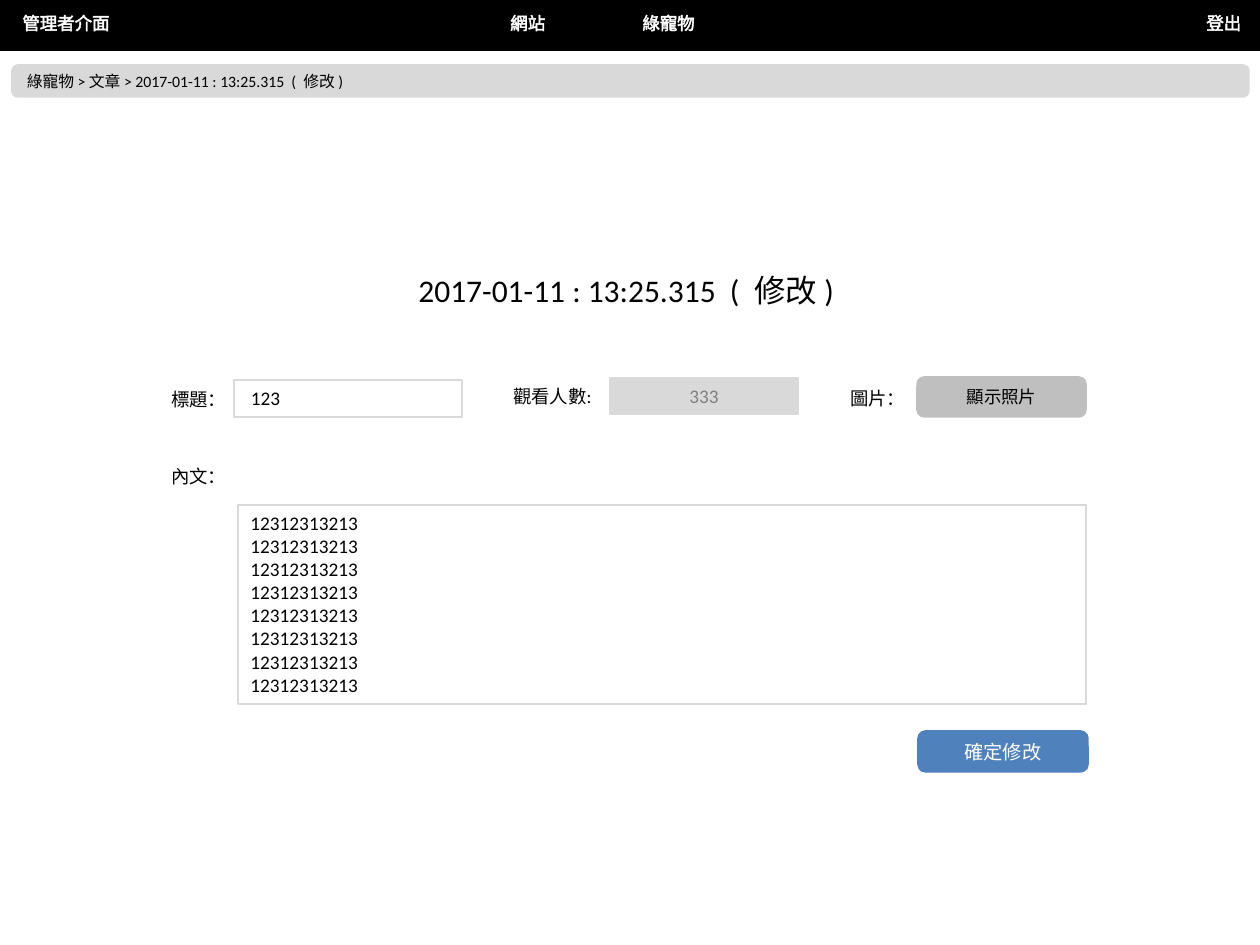
import pptx
import pptx.util
import pptx.dml.color
import pptx.enum.shapes
import pptx.enum.text
import pptx.oxml

SCALE = 914400 / 126
COLORS = {
    "black": "000000",
    "white": "FFFFFF",
    "panel": "D9D9D9",
    "button": "BFBFBF",
    "muted": "808080",
    "primary": "4F81BD",
}
RECT = pptx.enum.shapes.MSO_SHAPE.RECTANGLE
ROUND = pptx.enum.shapes.MSO_SHAPE.ROUNDED_RECTANGLE
LEFT = pptx.enum.text.PP_ALIGN.LEFT
CENTER = pptx.enum.text.PP_ALIGN.CENTER
TOP = pptx.enum.text.MSO_ANCHOR.TOP
MIDDLE = pptx.enum.text.MSO_ANCHOR.MIDDLE


def px(n):
    return pptx.util.Emu(round(n * SCALE))


def rgb(name):
    return pptx.dml.color.RGBColor.from_string(COLORS[name])


def write(sp, lines, size, color="black", align=LEFT, anchor=TOP, wrap=True):
    tf = sp.text_frame
    tf.word_wrap = wrap
    tf.vertical_anchor = anchor
    tf.text = "\n".join(lines)
    for p in tf.paragraphs:
        p.alignment = align
        p.font.name = "Calibri"
        p.font.size = pptx.util.Pt(size)
        p.font.color.rgb = rgb(color)
    return tf


def add_label(s, x, y, w, h, text, size, **style):
    sp = s.shapes.add_textbox(px(x), px(y), px(w), px(h))
    return write(sp, [text], size, **style)


def add_box(s, kind, x, y, w, h, fill, line, line_width):
    sp = s.shapes.add_shape(kind, px(x), px(y), px(w), px(h))
    sp.shadow.inherit = False
    sp.fill.solid()
    sp.fill.fore_color.rgb = rgb(fill)
    sp.line.color.rgb = rgb(line)
    sp.line.width = pptx.util.Pt(line_width)
    return sp


def add_button(s, x, y, w, h, text, size, fill, color="black", align=CENTER):
    sp = add_box(s, ROUND, x, y, w, h, fill, fill, 2)
    write(sp, [text], size, color, align, MIDDLE)


def add_field(s, x, y, w, h, lines, fill="white", **style):
    sp = add_box(s, RECT, x, y, w, h, fill, "panel", 0.75)
    return write(sp, lines, 11, **style)


def outline_text(p):
    for r in p.runs:
        ln = pptx.oxml.parse_xml(
            '<a:ln xmlns:a="http://schemas.openxmlformats.org/drawingml/2006/main" w="9525">'
            f'<a:solidFill><a:srgbClr val="{COLORS["white"]}"/></a:solidFill></a:ln>'
        )
        r._r.get_or_add_rPr().insert(0, ln)


def add_nav_bar(s, x, y, w, h):
    add_box(s, RECT, x, y, w, h, "black", "black", 2)
    items = [("管理者介面", 10, 113), ("網站", 498, 60), ("綠寵物", 630, 78), ("登出", 1194, 60)]
    for text, left, width in items:
        tf = add_label(s, x + left, y + 6, width, 34, text, 10, color="white", wrap=False)
        outline_text(tf.paragraphs[0])


def add_breadcrumb(s, x, y, w, h):
    text = "綠寵物 > 文章 > 2017-01-11 : 13:25.315  (  修改 )"
    add_button(s, x, y, w, h, text, 9, "panel", align=LEFT)


def add_edit_form(s, x, y, w, h):
    add_label(s, x + 247, y, 446, 50, "2017-01-11 : 13:25.315  (  修改 )", 18)

    add_label(s, x, y + 117, 79, 35, "標題：", 10.5)
    tf = add_field(s, x + 75, y + 115, 228, 37, ["123"])
    tf.margin_left = px(17)

    add_label(s, x + 336, y + 114, 115, 35, "觀看人數:", 10.5, align=CENTER)
    add_field(s, x + 451, y + 113, 188, 36, ["333"], "panel", color="muted", align=CENTER)

    add_label(s, x + 679, y + 116, 79, 35, "圖片：", 10.5)
    add_button(s, x + w - 169, y + 113, 167, 38, "顯示照片", 10, "button")

    add_label(s, x, y + 194, 79, 35, "內文：", 10.5)
    add_field(s, x + 79, y + 240, w - 80, 199, ["12312313213"] * 8)
    add_button(s, x + w - 168, y + h - 39, 168, 39, "確定修改", 11, "primary", "white")


def main():
    prs = pptx.Presentation()
    prs.slide_width = px(1260)
    prs.slide_height = px(945)
    s = prs.slides.add_slide(prs.slide_layouts[6])
    add_nav_bar(s, 0, 0, 1260, 49)
    add_breadcrumb(s, 13, 66, 1235, 30)
    add_edit_form(s, 159, 265, 928, 506)
    prs.save("out.pptx")


if __name__ == "__main__":
    main()
